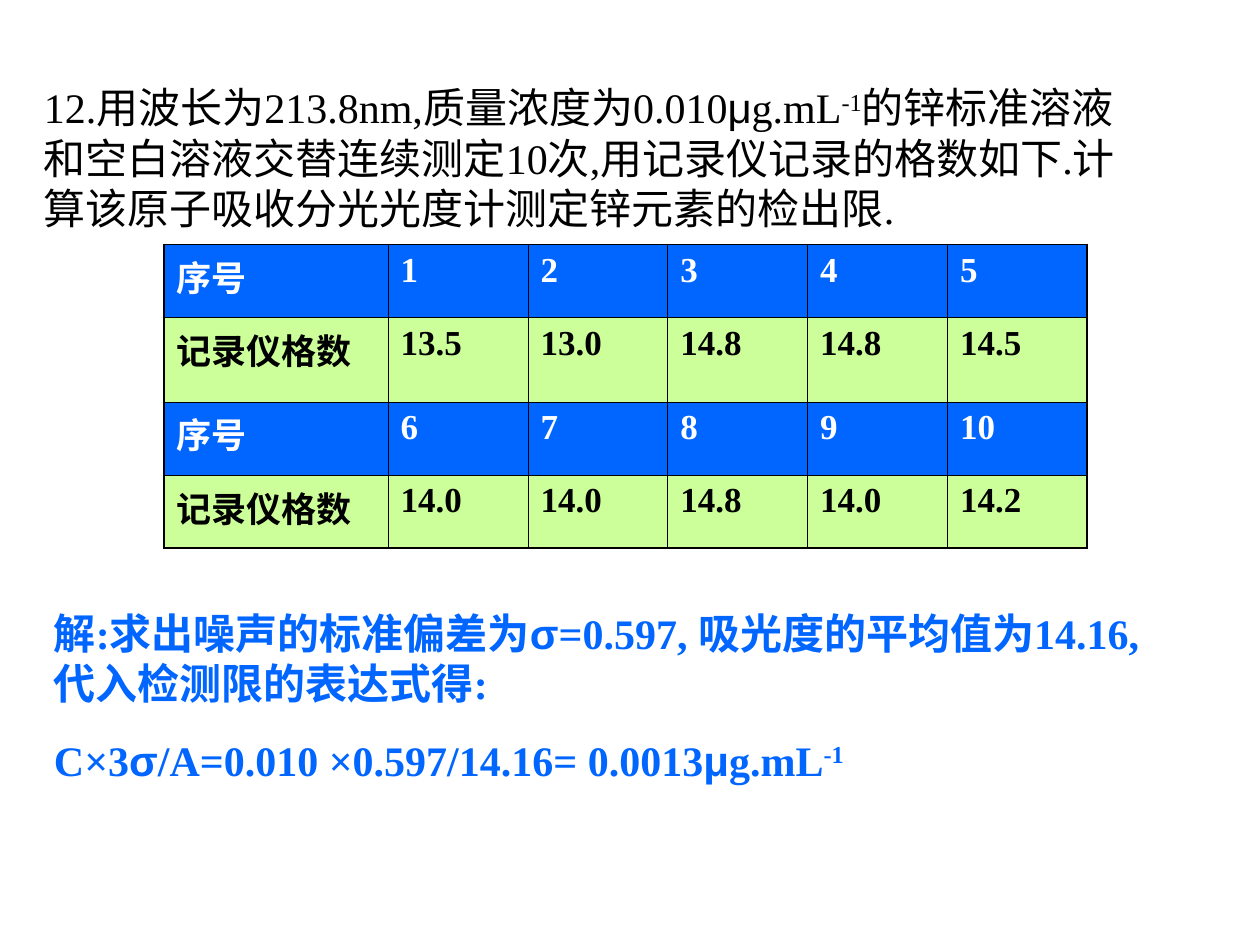
from dataclasses import dataclass

from lxml.etree import SubElement
from pptx import Presentation
from pptx.dml.color import RGBColor
from pptx.enum.text import MSO_AUTO_SIZE
from pptx.oxml.ns import qn
from pptx.util import Pt

PX = 9144  # 100 px to the inch


@dataclass(frozen=True)
class Theme:
    font: str = "Times New Roman"
    greek: str = "Arial"
    black: str = "000000"
    white: str = "FFFFFF"
    blue: str = "0066FF"
    green: str = "CCFF99"
    body: int = 24
    cell: int = 20
    gap: int = 15
    thin: float = 0.45
    thick: float = 1.08


THEME = Theme()

QUESTION = [
    ["12.用波长为213.8nm,质量浓度为0.010", "μ", "g.mL", "-1",
     "的锌标准溶液和空白溶液交替连续测定10次,用记录仪记录的格数如下."
     "计算该原子吸收分光光度计测定锌元素的检出限."],
]
ANSWER = [
    ["解:求出噪声的标准偏差为", "σ",
     "=0.597, 吸光度的平均值为14.16,代入检测限的表达式得:"],
    ["C×3", "σ", "/A=0.010 ×0.597/14.16= 0.0013", "μ", "g.mL", "-1"],
]
READINGS = [
    ["序号", "1", "2", "3", "4", "5"],
    ["记录仪格数", "13.5", "13.0", "14.8", "14.8", "14.5"],
    ["序号", "6", "7", "8", "9", "10"],
    ["记录仪格数", "14.0", "14.0", "14.8", "14.0", "14.2"],
]


def scale(*sizes):
    return [size * PX for size in sizes]


def style(run, size, color, bold):
    font = run.font
    font.name = THEME.greek if run.text in ("μ", "σ") else THEME.font
    font.size = Pt(size)
    font.bold = bold
    font.color.rgb = RGBColor.from_string(color)


def add_prose(slide, box, paras, color, bold):
    """Place paragraphs of run texts; Greek letters and the exponent get their own look."""
    frame = slide.shapes.add_textbox(*scale(*box)).text_frame
    frame.word_wrap = True
    frame.auto_size = MSO_AUTO_SIZE.SHAPE_TO_FIT_TEXT
    for i, parts in enumerate(paras):
        para = frame.add_paragraph() if i else frame.paragraphs[0]
        if i:
            para.space_before = Pt(THEME.gap)
        for part in parts:
            run = para.add_run()
            run.text = part
            style(run, THEME.body, color, bold)
            if part == "-1":
                run.font._element.set("baseline", "30000")


def set_edge(cell, side, width):
    props = cell._tc.get_or_add_tcPr()
    line = SubElement(props, qn(f"a:ln{side}"), w=str(Pt(width)))
    fill = SubElement(line, qn("a:solidFill"))
    SubElement(fill, qn("a:srgbClr"), val=THEME.black)


def add_readings(slide, box, rows, widths, heights):
    grid = slide.shapes.add_table(len(rows), len(widths), *scale(*box)).table
    for col, width in zip(grid.columns, scale(*widths)):
        col.width = width
    for row, height in zip(grid.rows, scale(*heights)):
        row.height = height
    for r, texts in enumerate(rows):
        head = r % 2 == 0
        for c, text in enumerate(texts):
            cell = grid.cell(r, c)
            cell.text = text
            color = THEME.white if head else THEME.black
            style(cell.text_frame.paragraphs[0].runs[0], THEME.cell, color, True)
            outer = {"L": c == 0, "R": c == len(widths) - 1,
                     "T": r == 0, "B": r == len(rows) - 1}
            for side, edge in outer.items():
                set_edge(cell, side, THEME.thick if edge else THEME.thin)
            cell.fill.solid()
            fill = THEME.blue if head else THEME.green
            cell.fill.fore_color.rgb = RGBColor.from_string(fill)


def main():
    deck = Presentation()
    deck.slide_width, deck.slide_height = scale(1000, 750)
    slide = deck.slides.add_slide(deck.slide_layouts[6])
    add_prose(slide, (25, 60, 883, 130), QUESTION, THEME.black, False)
    add_readings(slide, (130, 194, 733, 241), READINGS,
                 [178] + [111] * 5, [58, 67, 58, 58])
    add_prose(slide, (33, 477, 900, 151), ANSWER, THEME.blue, True)
    deck.save("out.pptx")


if __name__ == "__main__":
    main()
